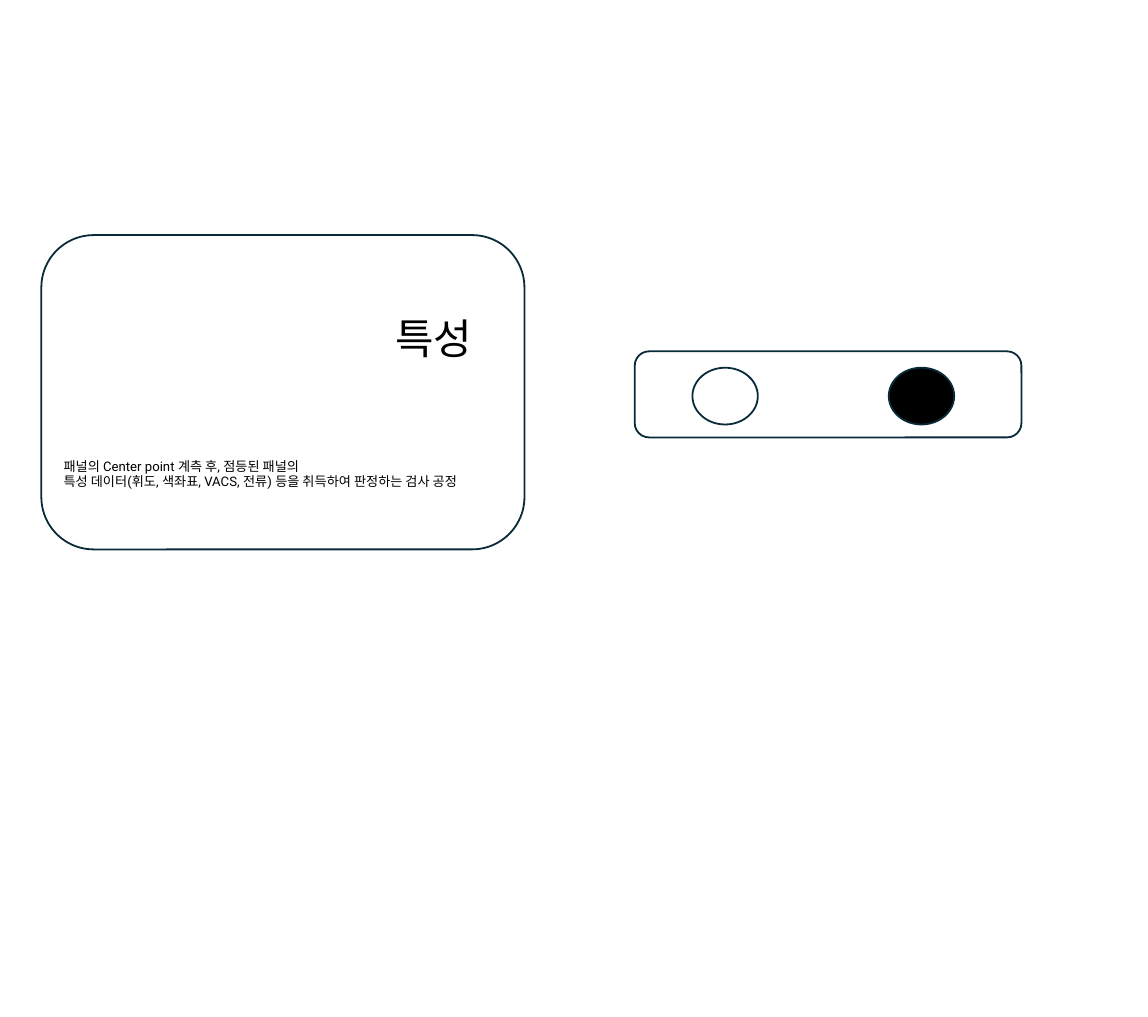
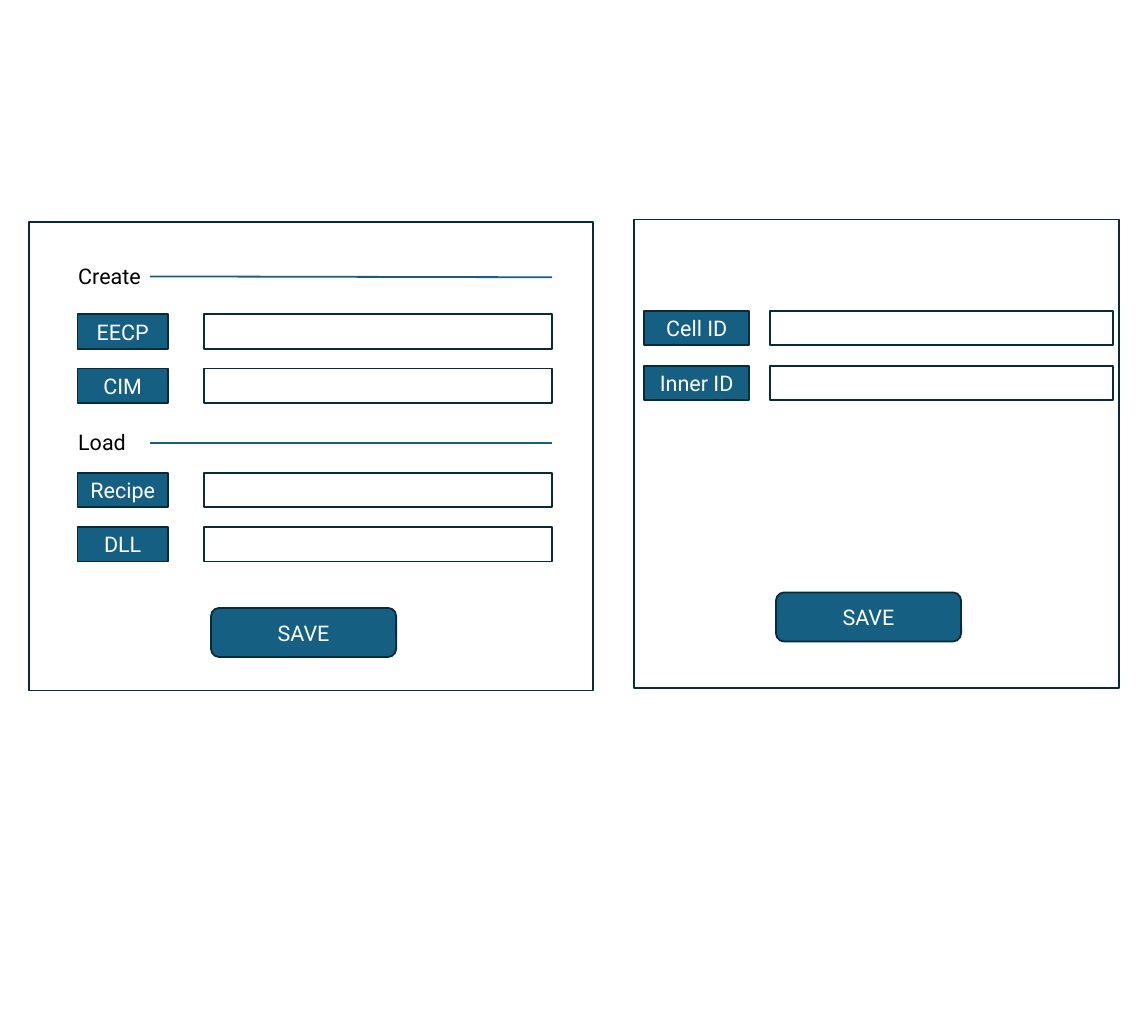
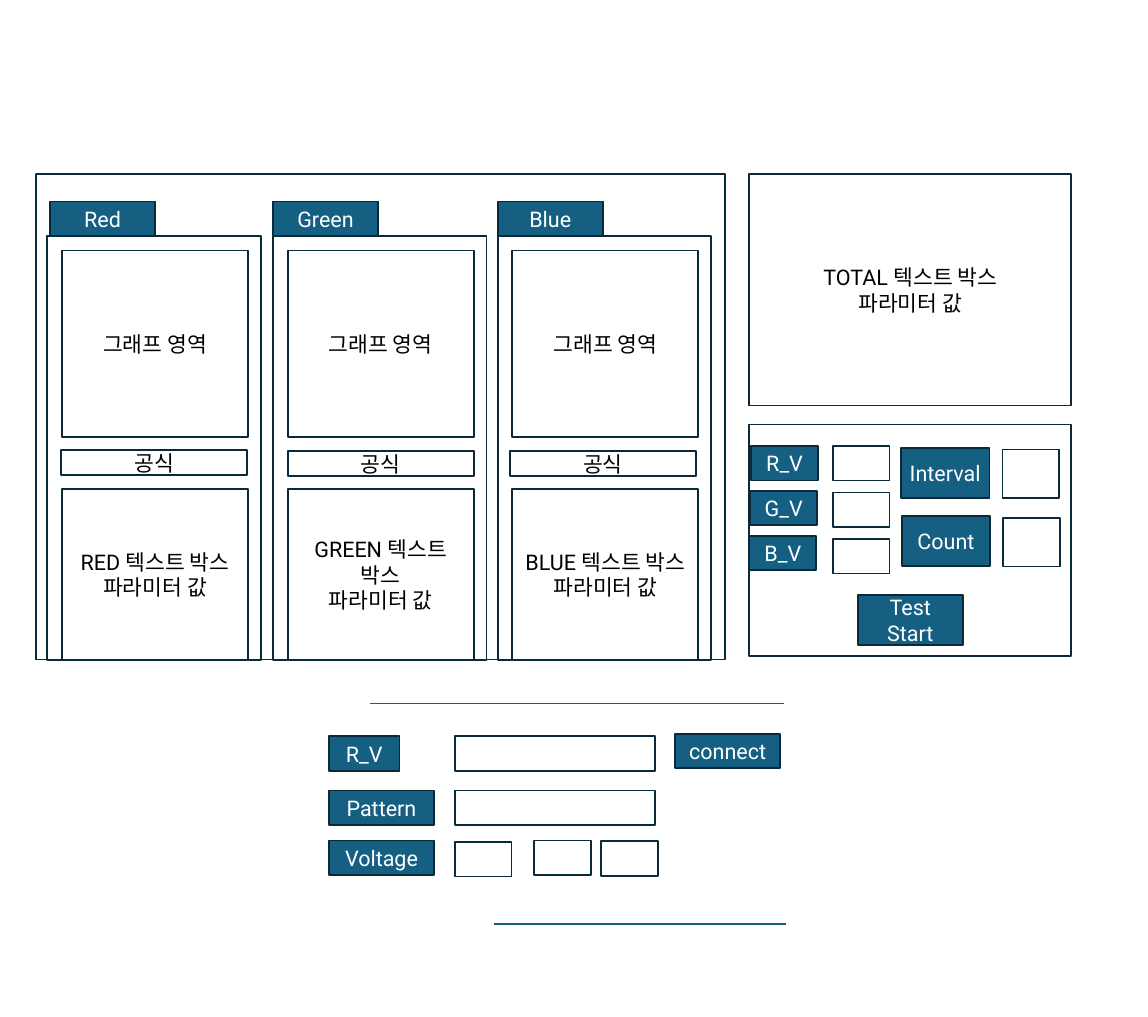
from lxml.etree import SubElement
from pptx import Presentation
from pptx.dml.color import RGBColor
from pptx.enum.shapes import MSO_CONNECTOR, MSO_SHAPE
from pptx.enum.text import MSO_ANCHOR, MSO_AUTO_SIZE, PP_ALIGN
from pptx.oxml.ns import qn
from pptx.util import Inches, Pt

TEAL = RGBColor(0x15, 0x60, 0x82)
NAVY = RGBColor(0x09, 0x2A, 0x39)
BLACK = RGBColor(0, 0, 0)
WHITE = RGBColor(255, 255, 255)
FONT = "Roboto"
LINE_WIDTH = Pt(1.5)
FIELD_HEIGHT = 0.4
LABEL_WIDTH = 1.22
SMALL_FIELD = 0.66


def add_box(slide, left, top, width, height, text="", *, shape=MSO_SHAPE.RECTANGLE,
            fill=None, color=BLACK, size=18):
    """Add an outlined shape, or a plain text box when shape is None; sizes in inches."""
    place = [Inches(value) for value in (left, top, width, height)]
    if shape is None:
        box = slide.shapes.add_textbox(*place)
    else:
        box = slide.shapes.add_shape(shape, *place)
        box.shadow.inherit = False
        box.line.color.rgb = NAVY
        box.line.width = LINE_WIDTH
        if fill is None:
            box.fill.background()
        else:
            box.fill.solid()
            box.fill.fore_color.rgb = fill
    if not text:
        return
    frame = box.text_frame
    frame.word_wrap = shape is not None
    if shape is None:
        frame.auto_size = MSO_AUTO_SIZE.SHAPE_TO_FIT_TEXT
    else:
        frame.vertical_anchor = MSO_ANCHOR.MIDDLE
    for index, line in enumerate(text.split("\n")):
        para = frame.paragraphs[0] if index == 0 else frame.add_paragraph()
        para.alignment = PP_ALIGN.LEFT if shape is None else PP_ALIGN.CENTER
        span = para.add_run()
        span.text = line
        span.font.name = FONT
        span.font.size = Pt(size)
        span.font.color.rgb = color


def add_rule(slide, left, top, right, bottom):
    rule = slide.shapes.add_connector(
        MSO_CONNECTOR.STRAIGHT, Inches(left), Inches(top), Inches(right), Inches(bottom))
    rule.line.color.rgb = TEAL
    rule.line.width = LINE_WIDTH
    SubElement(rule._element.spPr, qn("a:effectLst"))


deck = Presentation()
deck.slide_width = Inches(13.33)
deck.slide_height = Inches(11.81)
blank = deck.slide_layouts[6]
button = {"fill": TEAL, "color": WHITE}

# Process card and toggle
page = deck.slides.add_slide(blank)
add_box(page, 4.49, 3.58, 1.18, 0.69, "특성", shape=None, size=35)
add_box(page, 0.48, 2.73, 5.61, 3.65, shape=MSO_SHAPE.ROUNDED_RECTANGLE)
add_box(page, 0.64, 5.27, 5.28, 0.47,
        "패널의 Center point 계측 후, 점등된 패널의\n"
        "특성 데이터(휘도, 색좌표, VACS, 전류) 등을 취득하여 판정하는 검사 공정",
        shape=None, size=11)
add_box(page, 7.37, 4.08, 4.49, 1, shape=MSO_SHAPE.ROUNDED_RECTANGLE)
for left, fill in ((8.04, WHITE), (10.32, BLACK)):
    add_box(page, left, 4.27, 0.76, 0.66, shape=MSO_SHAPE.OVAL, fill=fill)

# Settings forms
page = deck.slides.add_slide(blank)
add_box(page, 0.34, 2.58, 6.55, 5.44)
add_box(page, 7.36, 2.55, 5.63, 5.44)
for text, top, width, start, end in (("Create", 3.01, 0.95, 3.21, 3.22),
                                     ("Load", 4.93, 0.8, 5.14, 5.14)):
    add_box(page, 0.81, top, width, FIELD_HEIGHT, text, shape=None)
    add_rule(page, 1.74, start, 6.41, end)
create_form = (0.9, 1.05, 2.37, 4.04)
cell_form = (7.48, LABEL_WIDTH, 8.94, 3.98)
for form, text, top in (
    (create_form, "EECP", 3.65),
    (create_form, "CIM", 4.28),
    (create_form, "Recipe", 5.49),
    (create_form, "DLL", 6.12),
    (cell_form, "Cell ID", 3.61),
    (cell_form, "Inner ID", 4.25),
):
    label_left, label_width, field_left, field_width = form
    add_box(page, label_left, top, label_width, FIELD_HEIGHT, text, **button)
    add_box(page, field_left, top, field_width, FIELD_HEIGHT)
for left, top in ((2.45, 7.06), (9.01, 6.88)):
    add_box(page, left, top, 2.15, 0.57, "SAVE",
            shape=MSO_SHAPE.ROUNDED_RECTANGLE, **button)

# Measurement screen: one column per colour
page = deck.slides.add_slide(blank)
add_box(page, 0.42, 2.02, 8, 5.64)
for name, left, tab_left, formula_left, formula_top in (
    ("Red", 0.55, 0.58, 0.71, 5.23),
    ("Green", 3.17, 3.17, 3.34, 5.24),
    ("Blue", 5.78, 5.78, 5.92, 5.24),
):
    inner_left = left + 0.17
    add_box(page, left, 2.74, 2.48, 4.92)
    add_box(page, tab_left, 2.34, LABEL_WIDTH, FIELD_HEIGHT, name, **button)
    add_box(page, inner_left, 2.91, 2.16, 2.17, "그래프 영역")
    add_box(page, inner_left, 5.68, 2.16, 1.98, f"{name.upper()} 텍스트 박스\n파라미터 값")
    add_box(page, formula_left, formula_top, 2.16, 0.29, "공식")

# Totals and test controls
add_box(page, 8.7, 2.02, 3.74, 2.69, "TOTAL 텍스트 박스\n파라미터 값")
add_box(page, 8.7, 4.93, 3.74, 2.69)
for row, text in enumerate(("R_V", "G_V", "B_V")):
    add_box(page, 8.72 - 0.01 * row, 5.18 + 0.52 * row, 0.78, FIELD_HEIGHT, text, **button)
    add_box(page, 9.67, 5.18 + 0.54 * row, SMALL_FIELD, FIELD_HEIGHT)
for row, text in enumerate(("Interval", "Count")):
    shift = 0.01 * row
    add_box(page, 10.46 + shift, 5.2 + 0.79 * row, 1.03, 0.58, text, **button)
    add_box(page, 11.64 + shift, 5.22 + 0.8 * row, SMALL_FIELD, 0.56)
add_box(page, 9.96, 6.91, LABEL_WIDTH, 0.58, "Test Start", **button)

# Connection form
add_rule(page, 4.3, 8.17, 9.1, 8.17)
add_rule(page, 5.74, 10.73, 9.13, 10.73)
for text, left, top, width in (
    ("R_V", 3.82, 8.55, 0.82),
    ("Pattern", 3.82, 9.18, LABEL_WIDTH),
    ("Voltage", 3.82, 9.76, LABEL_WIDTH),
    ("connect", 7.84, 8.52, LABEL_WIDTH),
):
    add_box(page, left, top, width, FIELD_HEIGHT, text, **button)
for top in (8.55, 9.18):
    add_box(page, 5.28, top, 2.33, FIELD_HEIGHT)
for left, top in ((5.28, 9.78), (6.2, 9.76), (6.98, 9.77)):
    add_box(page, left, top, SMALL_FIELD, FIELD_HEIGHT)

deck.save("out.pptx")
